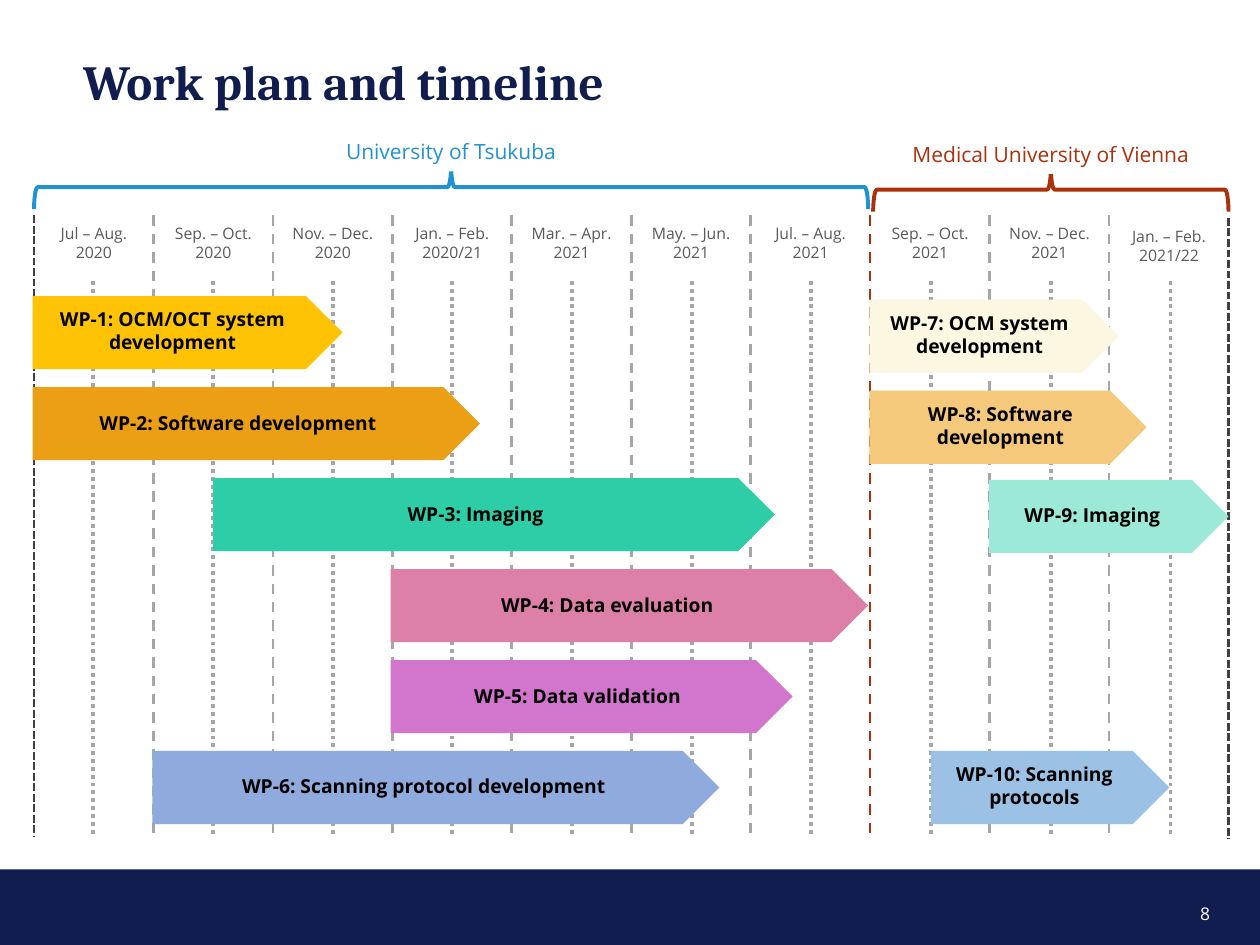
import pptx
import pptx.dml.color
import pptx.enum.dml
import pptx.enum.shapes
import pptx.enum.text
import pptx.oxml.xmlchemy
import pptx.util
from lxml import etree
from pptx.util import Inches

RGBColor = pptx.dml.color.RGBColor
SHAPES = pptx.enum.shapes.MSO_SHAPE
DASHES = pptx.enum.dml.MSO_LINE
ANCHOR = pptx.enum.text.MSO_ANCHOR
ALIGN = pptx.enum.text.PP_ALIGN

NAVY = RGBColor(0x11, 0x1D, 0x4E)
WHITE = RGBColor(0xFF, 0xFF, 0xFF)
BLACK = RGBColor(0, 0, 0)
GRID_GRAY = RGBColor(0xA6, 0xA6, 0xA6)
EDGE_GRAY = RGBColor(0x40, 0x40, 0x40)
MONTH_GRAY = RGBColor(0x59, 0x59, 0x59)
TSUKUBA_BLUE = RGBColor(0x22, 0x91, 0xD1)
VIENNA_RED = RGBColor(0xA9, 0x31, 0x0B)
YELLOW = RGBColor(0xFF, 0xC3, 0x05)
ORANGE = RGBColor(0xEB, 0x9F, 0x15)
GREEN = RGBColor(0x2D, 0xCD, 0xA7)
PINK = RGBColor(0xDC, 0x80, 0xA7)
PURPLE = RGBColor(0xD1, 0x75, 0xCD)
BLUE = RGBColor(0x8F, 0xAA, 0xDC)
PALE_YELLOW = RGBColor(0xFB, 0xF7, 0xE1)
PALE_ORANGE = RGBColor(0xF4, 0xC9, 0x7C)
PALE_GREEN = RGBColor(0x9B, 0xE9, 0xD6)
PALE_BLUE = RGBColor(0x9B, 0xC2, 0xE5)

GRID_LEFT, COLUMN = 0.27, 0.948
GRID_TOP, GRID_BOTTOM = 1.71, 6.64
ROW_TOP, ROW_PITCH, ARROW_HEIGHT = 2.35, 0.722, 0.58

PERIODS = [
    ("Jul – Aug.", "2020"), ("Sep. – Oct.", "2020"), ("Nov. – Dec.", "2020"),
    ("Jan. – Feb.", "2020/21"), ("Mar. – Apr.", "2021"), ("May. – Jun.", "2021"),
    ("Jul. – Aug.", "2021"), ("Sep. – Oct.", "2021"), ("Nov. – Dec.", "2021"),
    ("Jan. – Feb.", "2021/22"),
]

# text, row, arrow left, arrow width, colour, label left, label width, label lines
WORK_PACKAGES = [
    ("WP-1: OCM/OCT system development", 0, 0.26, 2.46, YELLOW, 0.26, 2.22, 2),
    ("WP-2: Software development", 1, 0.26, 3.55, ORANGE, 0.27, 3.24, 1),
    ("WP-3: Imaging", 2, 1.69, 4.46, GREEN, 1.74, 4.07, 1),
    ("WP-4: Data evaluation", 3, 3.1, 3.79, PINK, 3.18, 3.28, 1),
    ("WP-5: Data validation", 4, 3.1, 3.19, PURPLE, 3.18, 2.81, 1),
    ("WP-6: Scanning protocol development", 5, 1.21, 4.5, BLUE, 1.35, 4.03, 1),
    ("WP-7: OCM system development", 0.04, 6.9, 1.98, PALE_YELLOW, 6.82, 1.91, 2),
    ("WP-8: Software development", 1.04, 6.9, 2.2, PALE_ORANGE, 6.9, 2.08, 2),
    ("WP-9: Imaging", 2.02, 7.85, 1.9, PALE_GREEN, 7.85, 1.64, 1),
    ("WP-10: Scanning protocols", 5, 7.39, 1.89, PALE_BLUE, 7.4, 1.62, 2),
]

# name, left, width, top, colour
UNIVERSITIES = [
    ("University of Tsukuba", 0.27, 6.62, 1.04, TSUKUBA_BLUE),
    ("Medical University of Vienna", 6.93, 2.82, 1.06, VIENNA_RED),
]


def add_text(slide, text, left, top, width, height, *, size, color, bold=False,
             font="Open Sans", align=ALIGN.CENTER, anchor=ANCHOR.TOP,
             side_inset=0.1, line_spacing=None):
    box = slide.shapes.add_textbox(Inches(left), Inches(top), Inches(width), Inches(height))
    frame = box.text_frame
    frame.word_wrap = True
    frame.vertical_anchor = anchor
    frame.margin_left = frame.margin_right = Inches(side_inset)
    frame.text = text
    for paragraph in frame.paragraphs:
        paragraph.alignment = align
        paragraph.line_spacing = line_spacing
        for run in paragraph.runs:
            run.font.name = font
            run.font.size = pptx.util.Pt(size)
            run.font.bold = bold
            run.font.color.rgb = color
    return box


def add_filled_shape(slide, kind, left, top, width, height, color):
    shape = slide.shapes.add_shape(
        kind, Inches(left), Inches(top), Inches(width), Inches(height))
    shape.shadow.inherit = False
    shape.fill.solid()
    shape.fill.fore_color.rgb = color
    shape.line.fill.background()


def add_vertical_line(slide, x, top, bottom, color, weight, dash):
    line = slide.shapes.add_connector(
        pptx.enum.shapes.MSO_CONNECTOR.STRAIGHT,
        Inches(x), Inches(top), Inches(x), Inches(bottom))
    line.line.color.rgb = color
    line.line.width = pptx.util.Pt(weight)
    line.line.dash_style = dash
    properties = line._element.spPr
    etree.SubElement(properties, pptx.oxml.ns.qn("a:effectLst"))


def add_brace(slide, left, top, width, color, depth=0.35):
    """Add a brace that spans width, its point upwards."""
    brace = slide.shapes.add_shape(
        SHAPES.LEFT_BRACE,
        Inches(left + (width - depth) / 2), Inches(top + (depth - width) / 2),
        Inches(depth), Inches(width))
    brace.rotation = 90
    brace.shadow.inherit = False
    brace.fill.background()
    brace.line.color.rgb = color
    brace.line.width = pptx.util.Pt(2.25)


def add_grid(slide):
    for column in range(len(PERIODS)):
        add_vertical_line(slide, 0.74 + 0.95 * column, 2.23, GRID_BOTTOM,
                          GRID_GRAY, 2.25, DASHES.ROUND_DOT)
    special = {0: (EDGE_GRAY, DASHES.SQUARE_DOT), 7: (VIENNA_RED, DASHES.DASH),
               10: (EDGE_GRAY, DASHES.SQUARE_DOT)}
    for column in range(len(PERIODS) + 1):
        color, dash = special.get(column, (GRID_GRAY, DASHES.DASH))
        drop = 0.02 if column == len(PERIODS) else 0
        add_vertical_line(slide, GRID_LEFT + COLUMN * column, GRID_TOP + drop,
                          GRID_BOTTOM + drop, color, 1.5, dash)


def add_periods(slide):
    for column, period in enumerate(PERIODS):
        top = 1.75 if column == len(PERIODS) - 1 else 1.73
        add_text(slide, "\n".join(period), GRID_LEFT + COLUMN * column, top, 0.95, 0.4,
                 size=9, color=MONTH_GRAY)


def add_work_package(slide, text, row, left, width, color, label_left, label_width, lines):
    top = ROW_TOP + ROW_PITCH * row
    add_filled_shape(slide, SHAPES.PENTAGON, left, top, width, ARROW_HEIGHT, color)
    label_height = 0.1 + 0.2 * lines
    add_text(slide, text, label_left, top + (ARROW_HEIGHT - label_height) / 2,
             label_width, label_height, size=11, color=BLACK, bold=True)


def add_university(slide, name, left, width, top, color):
    add_brace(slide, left, top + 0.27, width, color)
    label = add_text(slide, name, left, top, width, 0.32, size=12, color=color,
                     anchor=ANCHOR.MIDDLE)
    label.fill.solid()
    label.fill.fore_color.rgb = WHITE


def main():
    presentation = pptx.Presentation()
    presentation.slide_width = Inches(10)
    presentation.slide_height = Inches(7.5)
    slide = presentation.slides.add_slide(presentation.slide_layouts[6])

    add_filled_shape(slide, SHAPES.RECTANGLE, 0, 6.9, 10, 0.6, NAVY)
    add_text(slide, "8", 9.31, 7.04, 0.51, 0.34, size=10, color=WHITE,
             anchor=ANCHOR.BOTTOM)
    add_text(slide, "Work plan and timeline", 0.66, 0.41, 8.65, 0.86, size=28,
             color=NAVY, bold=True, font="Cambria", align=ALIGN.LEFT,
             side_inset=0, line_spacing=0.9)
    add_grid(slide)
    for university in UNIVERSITIES:
        add_university(slide, *university)
    add_periods(slide)
    for work_package in WORK_PACKAGES:
        add_work_package(slide, *work_package)
    presentation.save("out.pptx")


if __name__ == "__main__":
    main()
